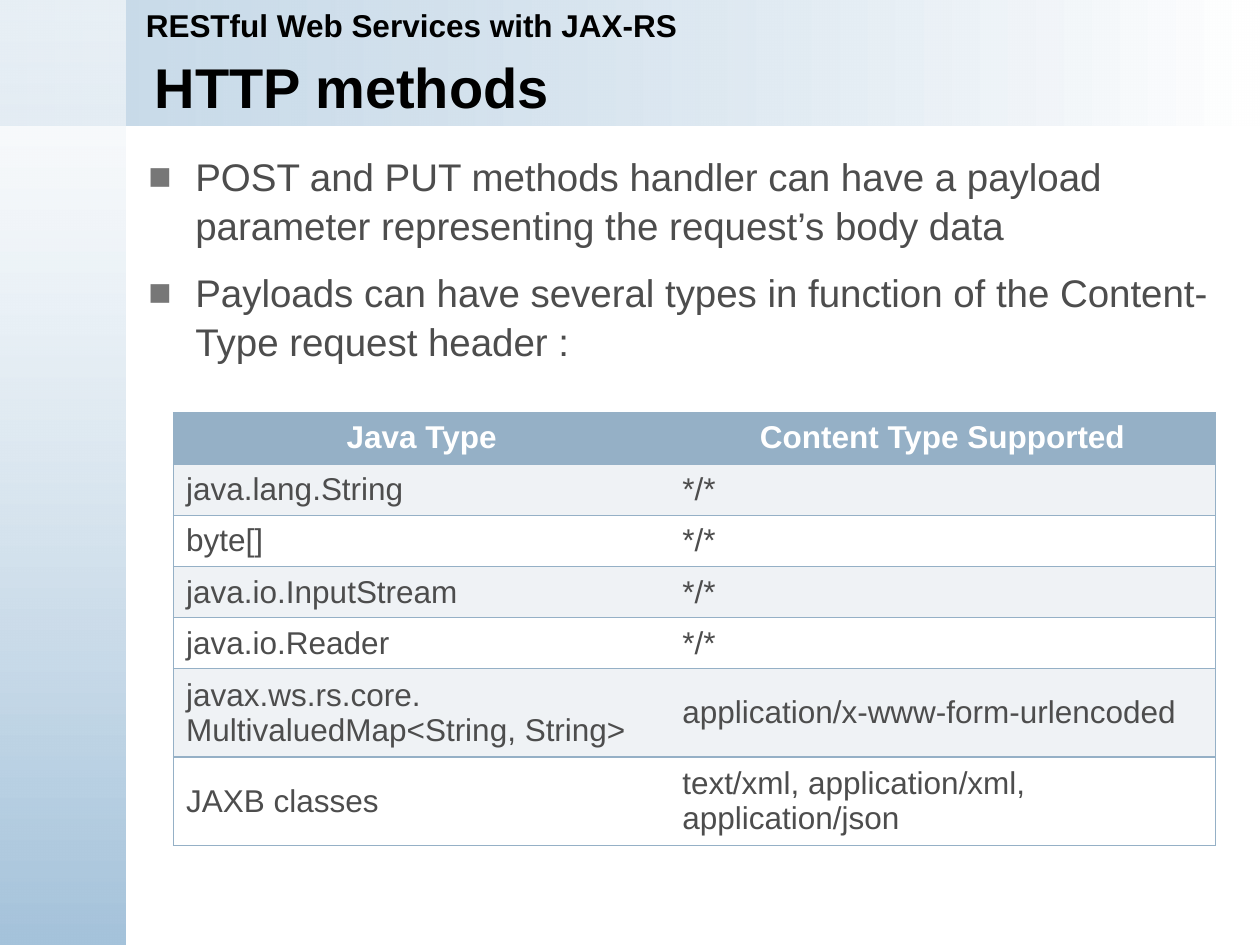
from dataclasses import dataclass
from lxml import etree
from pptx import Presentation
from pptx.dml.color import RGBColor
from pptx.enum.shapes import MSO_SHAPE
from pptx.enum.text import MSO_ANCHOR, PP_ALIGN
from pptx.oxml.ns import qn
from pptx.util import Cm, Pt

RECT = MSO_SHAPE.RECTANGLE
TOP, MIDDLE = MSO_ANCHOR.TOP, MSO_ANCHOR.MIDDLE
LEFT, CENTER = PP_ALIGN.LEFT, PP_ALIGN.CENTER


@dataclass(frozen=True)
class Theme:
    font: str = "Arial"
    black: str = "000000"
    white: str = "FFFFFF"
    text: str = "4D4D4D"
    bullet: str = "777777"
    sky: str = "A5C3DB"
    steel: str = "95B0C6"
    band: str = "EFF2F5"
    title: int = 32
    body: int = 22
    small: int = 18


THEME = Theme()
WIDTH, HEIGHT, BAR = 25.4, 19.05, 2.54

POINTS = [
    "POST and PUT methods handler can have a payload parameter "
    "representing the request’s body data",
    "Payloads can have several types in function of the Content-Type "
    "request header :",
]
ROWS = [
    ("Java Type", "Content Type Supported"),
    ("java.lang.String", "*/*"),
    ("byte[]", "*/*"),
    ("java.io.InputStream", "*/*"),
    ("java.io.Reader", "*/*"),
    ("javax.ws.rs.core.\nMultivaluedMap<String, String>",
     "application/x-www-form-urlencoded"),
    ("JAXB classes", "text/xml, application/xml,\napplication/json"),
]


def place(box):
    return [Cm(side) for side in box]


def style(frame, size, color, bold=False, align=LEFT):
    for para in frame.paragraphs:
        para.alignment = align
        for run in para.runs:
            font = run.font
            font.name, font.size, font.bold = THEME.font, Pt(size), bold
            font.color.rgb = RGBColor.from_string(color)


def add_band(slide, box, stops, angle, alpha):
    band = slide.shapes.add_shape(RECT, *place(box))
    band.shadow.inherit = False
    band.line.fill.background()
    band.fill.gradient()
    band.fill.gradient_angle = angle
    for stop, color in zip(band.fill.gradient_stops, stops):
        stop.color.rgb = RGBColor.from_string(color)
    first = next(band.element.spPr.iter(qn("a:srgbClr")))
    etree.SubElement(first, qn("a:alpha"), val=str(alpha * 1000))


def add_text(slide, box, text, size, color, bold=False, anchor=TOP):
    frame = slide.shapes.add_textbox(*place(box)).text_frame
    frame.word_wrap = True
    frame.vertical_anchor = anchor
    frame.text = text
    style(frame, size, color, bold)
    return frame


def add_list(slide, box, points):
    frame = add_text(slide, box, "\n".join(points), THEME.body, THEME.text)
    for para in frame.paragraphs:
        para.line_spacing = 1.05
        para.space_before = Pt(0.2 * THEME.body)
        para.space_after = Pt(0.3 * THEME.body)
        props = para._p.get_or_add_pPr()
        indent = Cm(0.95)
        props.set("marL", str(indent))
        props.set("indent", str(-indent))
        color = etree.SubElement(props, qn("a:buClr"))
        etree.SubElement(color, qn("a:srgbClr"), val=THEME.bullet)
        etree.SubElement(props, qn("a:buFont"), typeface=THEME.font)
        etree.SubElement(props, qn("a:buChar"), char="■")


def add_edges(cell, shown):
    props = cell._tc.get_or_add_tcPr()
    for side in "LRTB":
        edge = etree.SubElement(props, qn("a:ln" + side), w=str(Pt(1)))
        if side in shown:
            fill = etree.SubElement(edge, qn("a:solidFill"))
            etree.SubElement(fill, qn("a:srgbClr"), val=THEME.steel)
        else:
            etree.SubElement(edge, qn("a:noFill"))


def fill_cell(cell, text, row, shown):
    head = row == 0
    add_edges(cell, shown)
    back = THEME.steel if head else THEME.band if row % 2 else THEME.white
    cell.fill.solid()
    cell.fill.fore_color.rgb = RGBColor.from_string(back)
    cell.vertical_anchor = TOP if head else MIDDLE
    cell.text_frame.text = text
    style(cell.text_frame, THEME.small, THEME.white if head else THEME.text,
          head, CENTER if head else LEFT)


def add_grid(slide, box, rows, widths):
    grid = slide.shapes.add_table(len(rows), len(widths), *place(box)).table
    for col, width in zip(grid.columns, widths):
        col.width = Cm(width)
    for r, texts in enumerate(rows):
        tall = any("\n" in text for text in texts)
        grid.rows[r].height = Cm(1.78 if tall else 1.03)
        for c, text in enumerate(texts):
            fill_cell(grid.cell(r, c), text, r, "RTB" if c else "LTB")


def main():
    deck = Presentation()
    deck.slide_width, deck.slide_height = Cm(WIDTH), Cm(HEIGHT)
    slide = deck.slides.add_slide(deck.slide_layouts[6])
    add_band(slide, (0, 0, WIDTH, BAR), (THEME.sky, THEME.white), 0, 62)
    add_band(slide, (0, 0, BAR, HEIGHT), (THEME.white, THEME.sky), 270, 59)
    add_text(slide, (2.87, 1.12, 21.46, 1.24), "HTTP methods",
             THEME.title, THEME.black, True, MIDDLE)
    add_list(slide, (2.74, 2.92, 22.23, 14.91), POINTS)
    add_text(slide, (2.69, 0, 22.71, 1.02),
             "RESTful Web Services with JAX-RS",
             THEME.small, THEME.black, True)
    add_grid(slide, (3.5, 8.33, 21, 8.71), ROWS, (10, 11))
    deck.save("out.pptx")


if __name__ == "__main__":
    main()
